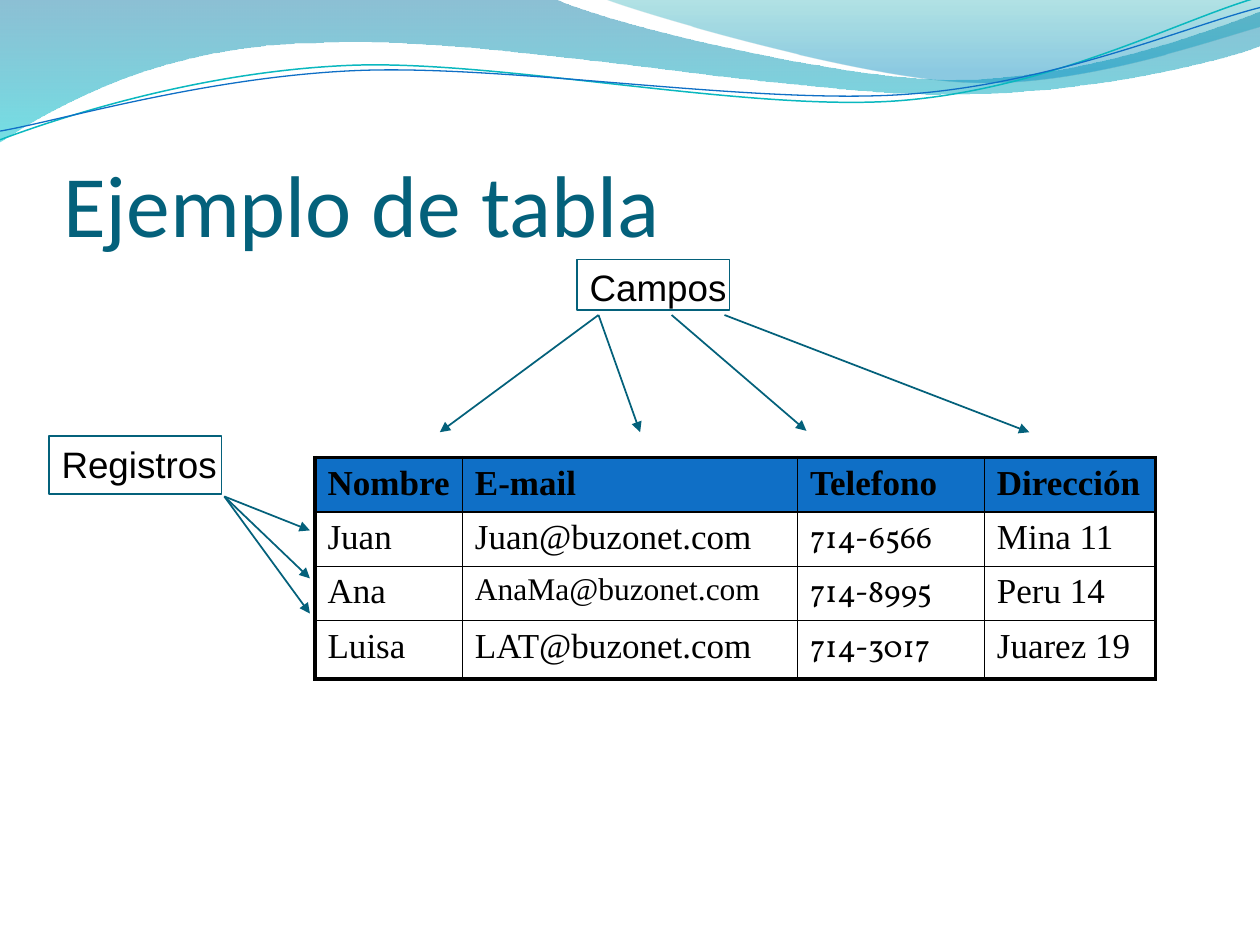
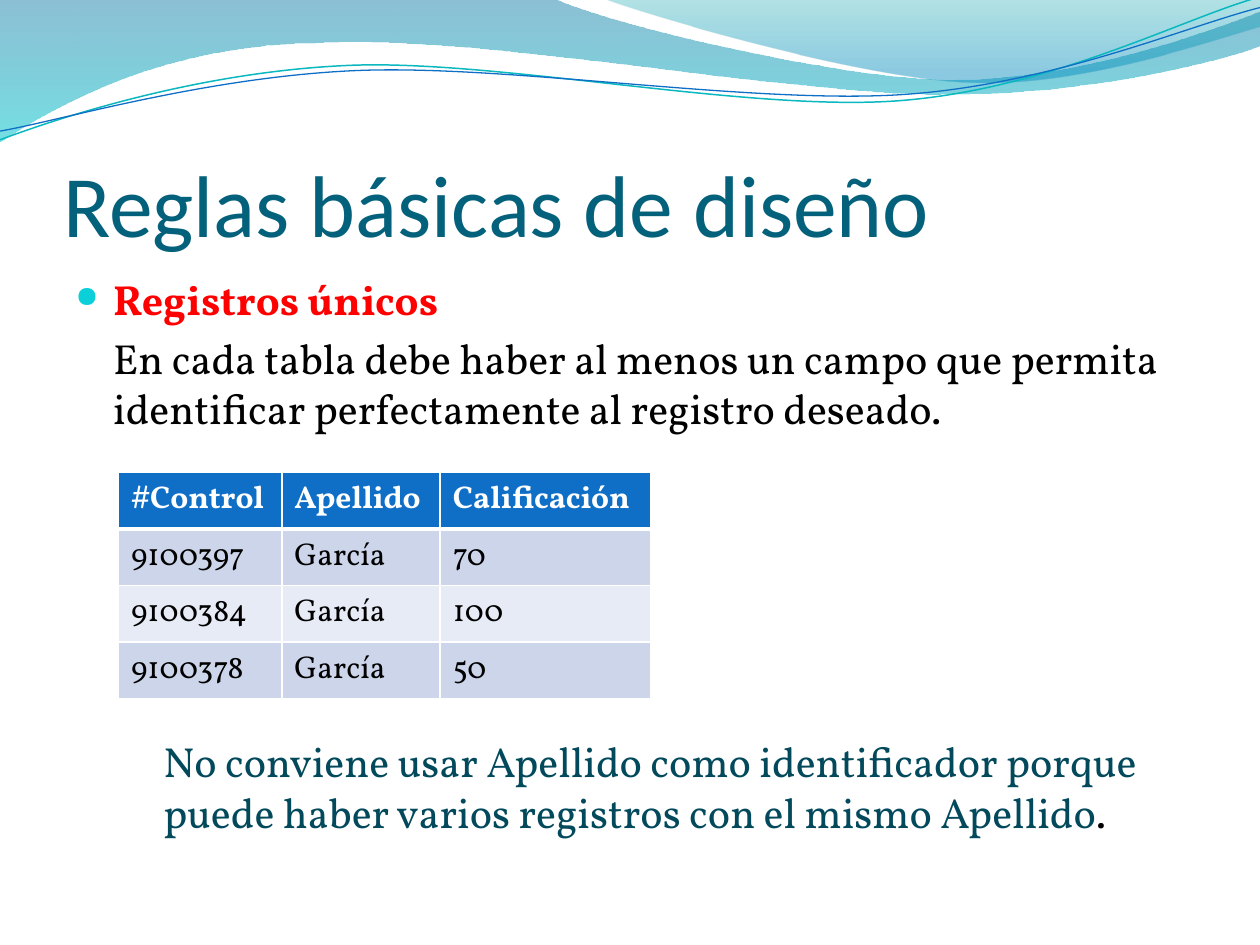
from lxml import etree
from pptx import Presentation
from pptx.dml.color import RGBColor
from pptx.enum.shapes import MSO_CONNECTOR
from pptx.enum.text import MSO_ANCHOR, PP_ALIGN
from pptx.oxml.ns import qn
from pptx.util import Pt

LEFT, TOP, BOTTOM = PP_ALIGN.LEFT, MSO_ANCHOR.TOP, MSO_ANCHOR.BOTTOM
STRAIGHT = MSO_CONNECTOR.STRAIGHT

TEAL, BLUE, BLACK, WHITE = "04617B", "0F6FC6", "000000", "FFFFFF"
RED, DARK_TEAL, AQUA = "FF0000", "03495C", "0BD0D9"
TITLE_FONT, LABEL_FONT = "Calibri", "Arial"
SERIF, BODY_FONT = "Times New Roman", "Vollkorn"

# An outline is a start point, then line ends (x, y)
# and cubic curves (x1, y1, x2, y2, x, y).
BANDS = [
    {"outline": [(0, -0.7), (316.8, -0.7),
                 (342.7, 12.2, 478.1, 45.4, 545.8, 45.4),
                 (614.2, 45.4, 689.8, 18.7, 720, 6.5),
                 (720.7, 25.9),
                 (707.8, 31.7, 626.4, 54.7, 537.1, 54),
                 (447.8, 54, 275, 20.2, 185, 24.5),
                 (92.9, 25.2, 33.1, 59.8, -0.7, 81.4)],
     "stops": [(0, "0074A1", 45), (1, "00C6CF", 55)]},
    {"outline": [(344.9, -0.7),
                 (366.5, 7.9, 491, 44.6, 553.7, 46.8),
                 (616.3, 49.7, 691.9, 23, 720, 15.1),
                 (720, 0)],
     "stops": [(0, "00A1A9", 30), (0.8, "008BBF", 45)]},
    {"outline": [(0, 79.9),
                 (34.6, 67, 113.8, 41, 199.4, 37.4),
                 (283.7, 33.8, 427, 64.1, 513.4, 57.6),
                 (599.8, 51.1, 675.4, 10.8, 718.6, -1.4)],
     "line": ("0AB8BF", 0.85)},
    {"outline": [(0, 74.9),
                 (33.8, 69.1, 118.1, 43.9, 203.8, 40.3),
                 (290.2, 36.7, 429.8, 59.8, 516.2, 54),
                 (601.9, 48.2, 677.5, 15.1, 720, 4.3)],
     "line": (BLUE, 0.75)},
]

LABELS = [
    {"text": "Registros", "box": (28.1, 249.1, 98.6, 33.1),
     "arrows": [(128.2, 283.7, 177.1, y) for y in (303.1, 330.5, 350.6)]},
    {"text": "Campos", "box": (329.8, 148.3, 87.1, 28.8),
     "arrows": [(342, 180, 251.3, 247), (342, 180, 365.8, 247),
                (383.8, 180, 460.8, 246.2), (414, 180, 588.2, 247)]},
]

CONTACTS = {
    "at": (180, 261.4),
    "columns": [84.2, 191.5, 106.8, 97.7],
    "heights": [31.1, 31.1, 31.1, 33.4],
    "rows": [["Nombre", "E-mail", "Telefono", "Dirección"],
             ["Juan", "Juan@buzonet.com", "714-6566", "Mina 11"],
             ["Ana", "AnaMa@buzonet.com", "714-8995", "Peru 14"],
             ["Luisa", "LAT@buzonet.com", "714-3017", "Juarez 19"]],
    "font": (SERIF, 20),
    "cell_fonts": {(2, 1): (SERIF, 18),
                   **{(row, 2): (BODY_FONT, 18) for row in (1, 2, 3)}},
    "head_color": BLACK,
    "fills": [BLUE, None, None, None],
    "border": {"color": BLACK, "outer": 2.25, "inner": 1, "head": 1},
}

GRADES = {
    "at": (67.7, 270),
    "columns": [93.4, 90.5, 120.1],
    "heights": [32.3] * 4,
    "rows": [["#Control", "Apellido", "Calificación"],
             ["9100397", "García", "70"],
             ["9100384", "García", "100"],
             ["9100378", "García", "50"]],
    "font": (BODY_FONT, 18),
    "cell_fonts": {},
    "head_color": WHITE,
    "fills": [BLUE, "CCD5EA", "E7EBF5", "CCD5EA"],
    "border": {"color": WHITE, "outer": 1, "inner": 1, "head": 3},
}

RULE_NAME = "Registros únicos"
RULE = ("En cada tabla debe haber al menos un campo que permita "
        "identificar perfectamente al registro deseado.")
ADVICE = ("No conviene usar Apellido como identificador porque "
          "puede haber varios registros con el mismo Apellido")
RULE_SIZE = 24
RULE_MARGINS = (7.2, 3.6, 7.2, 3.6)


def rgb(color):
    return RGBColor.from_string(color)


def points(*values):
    return [Pt(value) for value in values]


def set_font(target, name, size, color, bold=False):
    font = target.font
    font.name, font.size, font.bold = name, Pt(size), bold
    font.color.rgb = rgb(color)


def set_margins(frame, *margins):
    """Margins run left, top, right, bottom."""
    (frame.margin_left, frame.margin_top,
     frame.margin_right, frame.margin_bottom) = points(*margins)


def set_line(line, color, width):
    line.color.rgb = rgb(color)
    line.width = Pt(width)


def add_xml(parent, tag, **attributes):
    return etree.SubElement(parent, qn(tag), attributes)


def build_outline(slide, outline, closed):
    """Build a freeform through all points, then join each curve's three segments."""
    start, *corners = [points(*part[i:i + 2])
                       for part in outline for i in range(0, len(part), 2)]
    builder = slide.shapes.build_freeform(*start)
    builder.add_line_segments(corners, close=closed)
    shape = builder.convert_to_shape()
    segments = iter(list(shape.element.iter(qn("a:lnTo"))))
    for part in outline[1:]:
        joined = [next(segments) for _ in range(len(part) // 2)]
        if len(joined) == 3:
            curve = etree.Element(qn("a:cubicBezTo"))
            joined[0].addprevious(curve)
            for segment in joined:
                curve.append(segment[0])
                segment.getparent().remove(segment)
    return shape


def draw_band(slide, band):
    shape = build_outline(slide, band["outline"], "stops" in band)
    shape.shadow.inherit = False
    if "line" in band:
        shape.fill.background()
        set_line(shape.line, *band["line"])
        return shape
    shape.line.fill.background()
    shape.fill.gradient()
    shape.fill.gradient_angle = 270
    for stop, (position, color, _) in zip(shape.fill.gradient_stops, band["stops"]):
        stop.position = position
        stop.color.rgb = rgb(color)
    colors = shape.element.iter(qn("a:srgbClr"))
    for color, (_, _, opacity) in zip(colors, band["stops"]):
        add_xml(color, "a:alpha", val=str(opacity * 1000))
    return shape


def move_to_layout(shape, layout, shape_id):
    shape.element.find(".//" + qn("p:cNvPr")).set("id", str(shape_id))
    layout.shapes.element.append(shape.element)


def add_titled_slide(deck, layout, title):
    slide = deck.slides.add_slide(layout)
    holder = slide.shapes.title
    holder.left, holder.top, holder.width, holder.height = points(36, 55.9, 648, 90)
    frame = holder.text_frame
    frame.text = title
    frame.vertical_anchor = BOTTOM
    set_margins(frame, 0, 3.6, 0, 0)
    paragraph = frame.paragraphs[0]
    paragraph.alignment = LEFT
    set_font(paragraph, TITLE_FONT, 50, TEAL)
    return slide


def add_text_box(slide, box, margins):
    shape = slide.shapes.add_textbox(*points(*box))
    frame = shape.text_frame
    frame.word_wrap = True
    frame.vertical_anchor = TOP
    set_margins(frame, *margins)
    return shape


def add_label(slide, label):
    box = add_text_box(slide, label["box"], (7.2, 3.1, 0, 0))
    set_line(box.line, TEAL, 1)
    paragraph = box.text_frame.paragraphs[0]
    paragraph.text = label["text"]
    set_font(paragraph, LABEL_FONT, 21, BLACK)
    for ends in label["arrows"]:
        arrow = slide.shapes.add_connector(STRAIGHT, *points(*ends))
        set_line(arrow.line, TEAL, 1)
        properties = arrow.element.spPr
        add_xml(properties.find(qn("a:ln")), "a:tailEnd", type="triangle")
        add_xml(properties, "a:effectLst")


def set_borders(cell, color, widths):
    """Widths run left, right, top, bottom."""
    properties = cell._tc.get_or_add_tcPr()
    for index, (side, width) in enumerate(zip("LRTB", widths)):
        line = etree.Element(qn(f"a:ln{side}"), w=str(Pt(width)))
        add_xml(add_xml(line, "a:solidFill"), "a:srgbClr", val=color)
        properties.insert(index, line)


def add_grid(slide, grid):
    rows, columns, heights = grid["rows"], grid["columns"], grid["heights"]
    size = sum(columns), sum(heights)
    table = slide.shapes.add_table(len(rows), len(columns),
                                   *points(*grid["at"], *size)).table
    table.first_row = table.horz_banding = False
    for column, width in zip(table.columns, columns):
        column.width = Pt(width)
    for row, height in zip(table.rows, heights):
        row.height = Pt(height)

    border = grid["border"]
    outer, inner = border["outer"], border["inner"]
    across = [outer] + [inner] * (len(columns) - 1) + [outer]
    down = [outer, border["head"]] + [inner] * (len(rows) - 2) + [outer]
    for r, texts in enumerate(rows):
        for c, text in enumerate(texts):
            cell = table.cell(r, c)
            cell.text = text
            set_margins(cell, 7.2, 3.6, 7.2, 2)
            name, size = grid["cell_fonts"].get((r, c), grid["font"])
            color = grid["head_color"] if r == 0 else BLACK
            set_font(cell.text_frame.paragraphs[0], name, size, color, r == 0)
            if grid["fills"][r]:
                cell.fill.solid()
                cell.fill.fore_color.rgb = rgb(grid["fills"][r])
            else:
                cell.fill.background()
            set_borders(cell, border["color"],
                        (across[c], across[c + 1], down[r], down[r + 1]))


def add_rule(slide):
    frame = add_text_box(slide, (36, 152.6, 648, 100), RULE_MARGINS).text_frame
    name, rule = frame.paragraphs[0], frame.add_paragraph()
    name.text, rule.text = RULE_NAME, RULE
    set_font(name, BODY_FONT, RULE_SIZE, RED, bold=True)
    set_font(rule, BODY_FONT, RULE_SIZE, BLACK)
    rule.space_before = Pt(5)
    for paragraph, indent in ((name, -21.6), (rule, 0)):
        properties = paragraph._p.get_or_add_pPr()
        properties.set("marL", str(Pt(21.6)))
        properties.set("indent", str(Pt(indent)))
    bullet = name._p.get_or_add_pPr()
    add_xml(add_xml(bullet, "a:buClr"), "a:srgbClr", val=AQUA)
    add_xml(bullet, "a:buSzPct", val="70000")
    add_xml(bullet, "a:buChar", char="●")


def add_advice(slide):
    box = add_text_box(slide, (86.2, 417, 597.8, 70), RULE_MARGINS)
    paragraph = box.text_frame.paragraphs[0]
    for text, color in ((ADVICE, DARK_TEAL), (".", BLACK)):
        run = paragraph.add_run()
        run.text = text
        set_font(run, BODY_FONT, RULE_SIZE, color)


def main():
    deck = Presentation()
    deck.slide_width, deck.slide_height = points(720, 540)
    layout = deck.slide_layouts[5]

    example = add_titled_slide(deck, layout, "Ejemplo de tabla")
    for shape_id, band in enumerate(BANDS, start=100):
        move_to_layout(draw_band(example, band), layout, shape_id)
    for label in LABELS:
        add_label(example, label)
    add_grid(example, CONTACTS)

    design = add_titled_slide(deck, layout, "Reglas básicas de diseño")
    add_rule(design)
    add_grid(design, GRADES)
    add_advice(design)
    deck.save("out.pptx")


if __name__ == "__main__":
    main()
